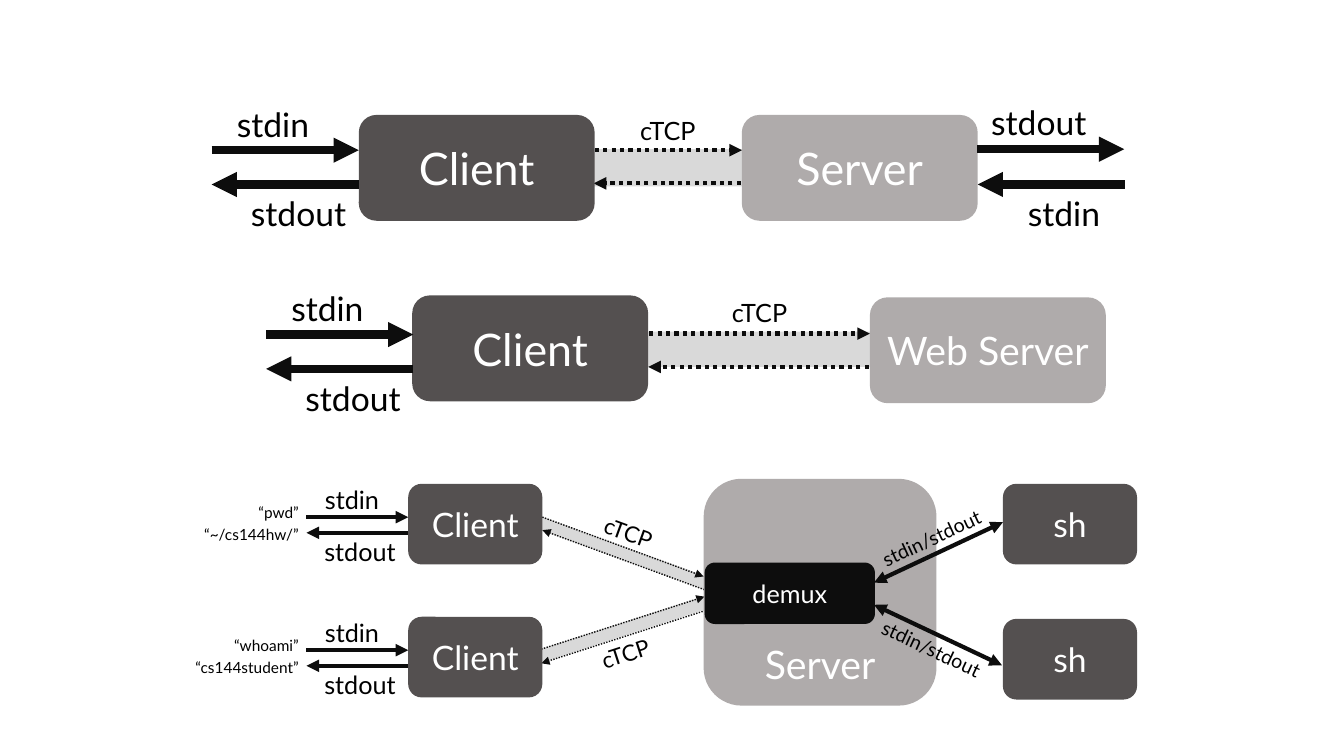
"""Build a slide of three cTCP client and server set-ups."""
from pptx import Presentation
from pptx.dml.color import RGBColor
from pptx.enum.dml import MSO_LINE
from pptx.enum.shapes import MSO_CONNECTOR, MSO_SHAPE
from pptx.enum.text import MSO_ANCHOR, PP_ALIGN
from pptx.oxml.ns import qn
from pptx.util import Pt
from lxml import etree

FONT = "Lato"
DARK, GREY, PALE = "545050", "AFABAB", "D9D9D9"
INK, BLACK, WHITE = "0D0D0D", "000000", "FFFFFF"

CHANNELS = [
    (416, 106.6, 115, 26.6, 0),
    (459.4, 236.9, 167.8, 25.2, 0),
    (375.8, 442, 155.5, 9.4, 342),
    (376.6, 393.8, 155.5, 9.4, 20),
]
PACKETS = [
    (424.8, 107.3, 530, 107.3, 3),
    (529.2, 131, 424.1, 131, 3),
    (463.7, 238.3, 621.4, 238.3, 3),
    (620.6, 262.1, 463, 262.1, 3),
    (386.6, 463.7, 503.3, 426.2, 1),
    (507.6, 434.9, 386.6, 473.8, 1),
    (387.4, 369.4, 502.6, 411.8, 1),
    (506.9, 422.6, 387.4, 378.7, 1),
]
HOSTS = [
    ("Client", 256.3, 82.1, 168.5, 75.6, 32, DARK),
    ("Server", 529.9, 82.1, 168.5, 75.6, 32, GREY),
    ("Client", 294.5, 211, 168.5, 75.6, 32, DARK),
    ("Web Server", 621.4, 212.4, 168.5, 75.6, 28, GREY),
    ("Server", 502.6, 342, 166.3, 162, 28, GREY),
    ("Client", 291.6, 345.6, 95.8, 57.6, 24, DARK),
    ("Client", 291.6, 440.6, 95.8, 57.6, 24, DARK),
    ("demux", 503.3, 401.8, 121.7, 43.9, 18, INK),
    ("sh", 716.4, 345.6, 95.8, 57.6, 24, DARK),
    ("sh", 716.4, 442.1, 95.8, 57.6, 24, DARK),
]
LARGE = dict(length=105.1, gap=24.5, weight=6, size=24, stdin=(-2.7, -36.7), stdout=(15.6, 27.2))
SMALL = dict(length=72.7, gap=11.2, weight=3, size=18, stdin=(-13.9, -27), stdout=(-8.2, 10.1))
TERMINALS = [
    (151.2, 107.3, LARGE, ()),
    (190.1, 239, LARGE, ()),
    (218.9, 369.4, SMALL, ("“pwd”", "“~/cs144hw/”")),
    (218.9, 464.4, SMALL, ("“whoami”", "“cs144student”")),
]
SERVER_STREAMS = [
    (698, 106.6, 803, 106.6, 6, False),
    (803.5, 131.8, 698.4, 131.8, 6, False),
    (624.3, 416.2, 716.4, 373, 3, True),
    (624.3, 432, 715.7, 475.2, 3, True),
]
LABEL_WIDTH = 92.9
LABELS = [
    ("cTCP", 430.6, 78.5, LABEL_WIDTH, 18, 0),
    ("stdout", 695.5, 69.1, LABEL_WIDTH, 24, 0),
    ("stdin", 713.5, 133.9, LABEL_WIDTH, 24, 0),
    ("cTCP", 496.1, 208.8, LABEL_WIDTH, 18, 0),
    ("cTCP", 402.5, 367.2, LABEL_WIDTH, 16, 20),
    ("cTCP", 400.3, 453.6, LABEL_WIDTH, 16, 342),
    ("stdin/stdout", 604.1, 372.2, 122.4, 14, 335),
    ("stdin/stdout", 604.1, 451.4, 122.4, 14, 25),
]


def color(hex_string):
    return RGBColor.from_string(hex_string)


def write(frame, text, size, ink, align=PP_ALIGN.CENTER):
    frame.word_wrap = True
    paragraph = frame.paragraphs[0]
    paragraph.alignment = align
    run = paragraph.add_run()
    run.text = text
    run.font.name, run.font.size = FONT, Pt(size)
    run.font.color.rgb = color(ink)


def block(kind, left, top, width, height, fill):
    shape = slide.shapes.add_shape(kind, Pt(left), Pt(top), Pt(width), Pt(height))
    shape.shadow.inherit = False
    shape.fill.solid()
    shape.fill.fore_color.rgb = color(fill)
    shape.line.fill.background()
    return shape


def label(text, left, top, width, size, rotation=0, align=PP_ALIGN.CENTER):
    box = slide.shapes.add_textbox(Pt(left), Pt(top), Pt(width), Pt(size * 1.2 + 7.2))
    box.rotation = rotation
    write(box.text_frame, text, size, BLACK, align)


def arrow(x1, y1, x2, y2, weight, both=False, dotted=False):
    connector = slide.shapes.add_connector(MSO_CONNECTOR.STRAIGHT, Pt(x1), Pt(y1), Pt(x2), Pt(y2))
    connector.line.color.rgb = color(INK)
    connector.line.width = Pt(weight)
    if dotted:
        connector.line.dash_style = MSO_LINE.ROUND_DOT
    properties = connector._element.spPr
    outline = properties.find(qn("a:ln"))
    for end in ("a:headEnd", "a:tailEnd") if both else ("a:tailEnd",):
        etree.SubElement(outline, qn(end)).set("type", "triangle")
    etree.SubElement(properties, qn("a:effectLst"))


def terminal(x, y, style, exchange):
    right, reply_y = x + style["length"], y + style["gap"]
    arrow(x, y, right, y, style["weight"])
    arrow(right, reply_y, x, reply_y, style["weight"])
    for stream in ("stdin", "stdout"):
        dx, dy = style[stream]
        label(stream, x + dx, y + dy, LABEL_WIDTH, style["size"])
    for index, line in enumerate(exchange):
        label(line, x - 91.2, y - 13.7 + index * 15.8, LABEL_WIDTH, 11, align=PP_ALIGN.RIGHT)


deck = Presentation()
deck.slide_width, deck.slide_height = Pt(960), Pt(540)
slide = deck.slides.add_slide(deck.slide_layouts[6])

for *place, rotation in CHANNELS:
    block(MSO_SHAPE.RECTANGLE, *place, PALE).rotation = rotation
for packet in PACKETS:
    arrow(*packet, dotted=True)
for name, left, top, width, height, size, fill in HOSTS:
    host = block(MSO_SHAPE.ROUNDED_RECTANGLE, left, top, width, height, fill)
    frame = host.text_frame
    frame.margin_left = frame.margin_right = 0
    frame.vertical_anchor = MSO_ANCHOR.MIDDLE
    if height > 100:
        frame.vertical_anchor = MSO_ANCHOR.BOTTOM
        frame.margin_bottom = Pt(5)
    write(frame, name, size, WHITE)
for entry in TERMINALS:
    terminal(*entry)
for stream in SERVER_STREAMS:
    arrow(*stream)
for entry in LABELS:
    label(*entry)

deck.save("out.pptx")
